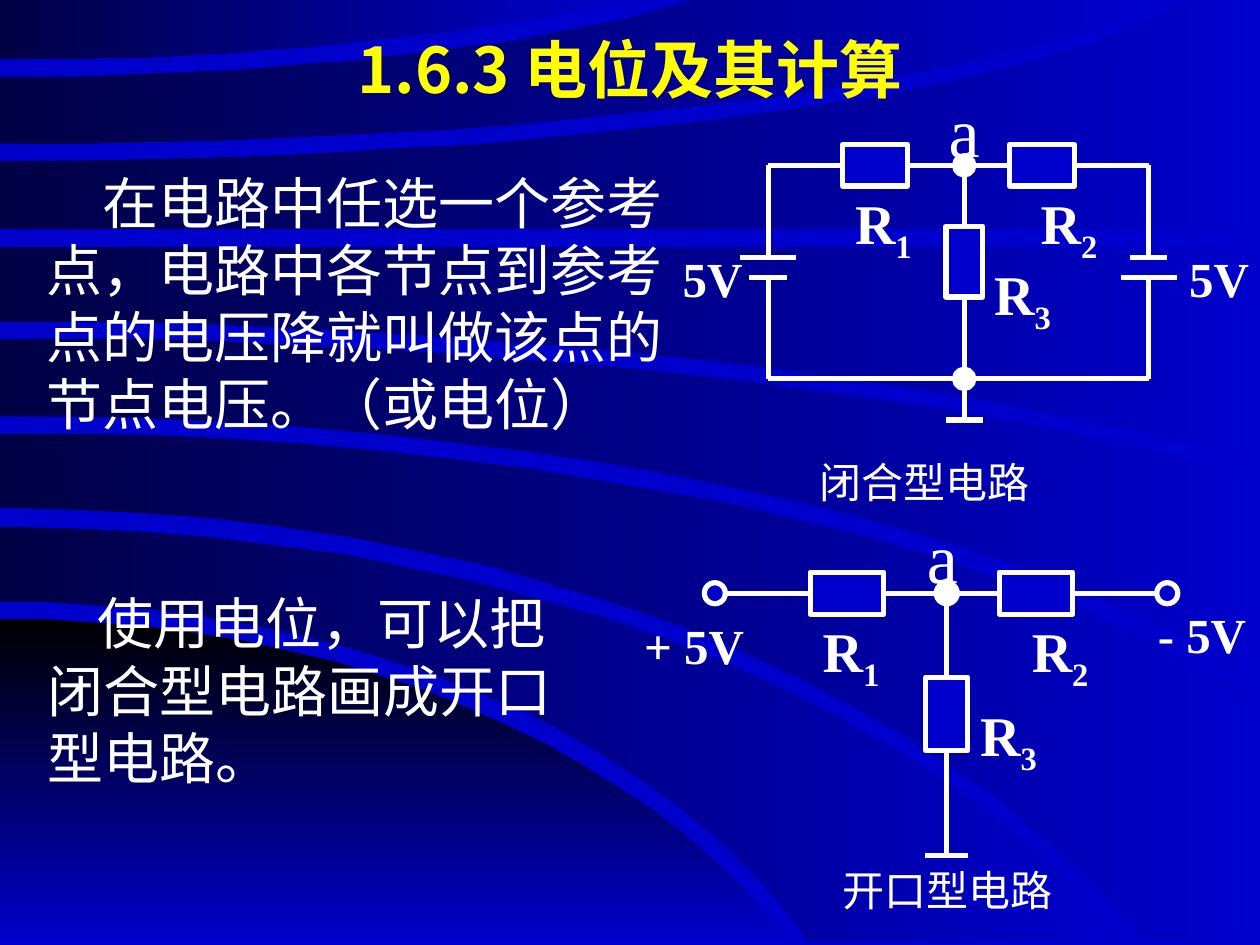
from dataclasses import dataclass
from math import cos, radians, sin

from lxml import etree
from pptx import Presentation
from pptx import util as u
from pptx.dml.color import RGBColor
from pptx.enum import shapes, text
from pptx.oxml.ns import qn

WHITE = RGBColor(0xFF, 0xFF, 0xFF)
YELLOW = RGBColor(0xFF, 0xFF, 0x00)
BLUE = RGBColor(0x00, 0x00, 0xCC)
NAVY = RGBColor(0x00, 0x00, 0x44)
BLACK = RGBColor(0x00, 0x00, 0x00)
SERIF, SANS = "Times New Roman", "Noto Sans CJK SC"
WIDTH, HEIGHT = 720, 540
STROKE = 3
ARC_STEPS = 20

Point = tuple[float, float]
Wire = tuple[Point, Point]


@dataclass
class Arc:
    """Part of an ellipse that leaves the left edge level and sweeps some degrees."""
    start_y: float
    end_x: float
    end_y: float
    sweep: float = 45

    def points(self) -> list[Point]:
        total = radians(self.sweep)
        angles = [total * step / ARC_STEPS for step in range(ARC_STEPS + 1)]
        rise = self.end_y - self.start_y
        return [(self.end_x * sin(angle) / sin(total),
                 self.start_y + rise * (1 - cos(angle)) / (1 - cos(total)))
                for angle in angles]


@dataclass
class Band:
    upper: Arc
    lower: Arc
    color: RGBColor = NAVY
    angle: float = 0

    def outline(self) -> list[Point]:
        shorter = min(self.upper, self.lower, key=lambda arc: arc.end_x)
        corner = (max(self.upper.end_x, self.lower.end_x), shorter.end_y)
        return [*self.upper.points(), corner, *reversed(self.lower.points())]


@dataclass
class Label:
    left: float
    top: float
    width: float
    height: float
    words: str
    size: float
    subscript: str = ""
    bold: bool = False
    color: RGBColor = WHITE
    font: str = SERIF
    indent: float = 0
    line_height: float | None = None
    centered: bool = False


@dataclass
class Resistor:
    x: float
    y: float
    width: float
    height: float


@dataclass
class Circuit:
    wires: list[Wire]
    resistors: list[Resistor]
    nodes: list[Point]
    terminals: list[Point]
    node_size: float
    labels: list[Label]


def horizontal(y: float, *ends: float) -> list[Wire]:
    """Wires at one height, each between two successive ends."""
    return [((a, y), (b, y)) for a, b in zip(ends[::2], ends[1::2])]


def vertical(x: float, *ends: float) -> list[Wire]:
    """Wires at one x position, each between two successive ends."""
    return [((x, a), (x, b)) for a, b in zip(ends[::2], ends[1::2])]


def plate(x: float, y: float, length: float) -> list[Wire]:
    return horizontal(y, x - length / 2, x + length / 2)


def resistor_labels(*places: Point) -> list[Label]:
    return [Label(x, y, 60, 45, "R", 32, str(number), True)
            for number, (x, y) in enumerate(places, 1)]


def voltage_label(words: str, left: float, top: float, width: float) -> Label:
    return Label(left, top, width, 41, words, 28, bold=True)


def node_label(left: float, top: float) -> Label:
    return Label(left, top, 60, 55, "a", 40)


def body(left: float, top: float, width: float, height: float, words: str,
         indent: float) -> Label:
    return Label(left, top, width, height, words, 32, indent=indent, line_height=38.4)


def caption(left: float, top: float, words: str) -> Label:
    return Label(left, top, 150, 36, words, 24, line_height=29)


def add_band(slide, band: Band) -> None:
    first, *rest = band.outline()
    builder = slide.shapes.build_freeform(*first, scale=u.Pt(1))
    builder.add_line_segments(rest, close=True)
    shape = builder.convert_to_shape()
    shape.shadow.inherit = False
    shape.line.fill.background()
    shape.fill.gradient()
    shape.fill.gradient_angle = band.angle
    for stop, color in zip(shape.fill.gradient_stops, (band.color, BLUE)):
        stop.color.rgb = color


def add_label(slide, label: Label) -> None:
    box = slide.shapes.add_textbox(
        u.Pt(label.left), u.Pt(label.top), u.Pt(label.width), u.Pt(label.height))
    frame = box.text_frame
    frame.word_wrap = True
    if not (label.line_height or label.centered):
        frame.margin_right = 0
    paragraph = frame.paragraphs[0]
    if label.centered:
        frame.vertical_anchor = text.MSO_ANCHOR.MIDDLE
        paragraph.alignment = text.PP_ALIGN.CENTER
    if label.indent:
        paragraph._p.get_or_add_pPr().set("indent", str(u.Pt(label.indent)))
    if label.line_height:
        paragraph.line_spacing = u.Pt(label.line_height)
    for words, baseline in ((label.words, "0"), (label.subscript, "-25000")):
        if not words:
            continue
        run = paragraph.add_run()
        run.text = words
        run.font.size = u.Pt(label.size)
        run.font.bold = label.bold
        run.font.color.rgb = label.color
        run.font.name = label.font
        properties = run._r.get_or_add_rPr()
        properties.set("baseline", baseline)
        etree.SubElement(properties, qn("a:ea")).set("typeface", SANS)


def add_wire(slide, wire: Wire) -> None:
    start, end = wire
    line = slide.shapes.add_connector(
        shapes.MSO_CONNECTOR.STRAIGHT, *(u.Pt(value) for value in (*start, *end)))
    line.line.color.rgb = WHITE
    line.line.width = u.Pt(STROKE)
    etree.SubElement(line._element.spPr, qn("a:effectLst"))


def add_part(slide, kind, x: float, y: float, width: float, height: float,
             fill: RGBColor) -> None:
    """Outlined shape centred on x, y."""
    part = slide.shapes.add_shape(
        kind, u.Pt(x - width / 2), u.Pt(y - height / 2), u.Pt(width), u.Pt(height))
    part.shadow.inherit = False
    part.fill.solid()
    part.fill.fore_color.rgb = fill
    part.line.color.rgb = WHITE
    part.line.width = u.Pt(STROKE)


def add_circuit(slide, circuit: Circuit) -> None:
    for wire in circuit.wires:
        add_wire(slide, wire)
    for r in circuit.resistors:
        add_part(slide, shapes.MSO_SHAPE.RECTANGLE, r.x, r.y, r.width, r.height, BLUE)
    size = circuit.node_size
    for centers, fill in ((circuit.nodes, WHITE), (circuit.terminals, BLUE)):
        for x, y in centers:
            add_part(slide, shapes.MSO_SHAPE.OVAL, x, y, size, size, fill)
    for label in circuit.labels:
        add_label(slide, label)


def closed_circuit() -> Circuit:
    left, middle, right, top, bottom = 439, 551, 656.5, 94.5, 216.5
    upper_plate, lower_plate = 147, 158.5
    wires = horizontal(top, left, 481.5, 518.5, 577, 614, right)
    wires += vertical(middle, top, 129.5, 170, 240) + plate(middle, 240, 21)
    for x, upper, lower in ((left, 32, 21.5), (right, 21, 32)):
        wires += vertical(x, top, upper_plate, lower_plate, bottom)
        wires += plate(x, upper_plate, upper) + plate(x, lower_plate, lower)
    wires += horizontal(bottom, left, right)
    resistors = [Resistor(x, top, 37, 23.5) for x in (500, 595.5)]
    resistors.append(Resistor(middle, 149.5, 21, 40.5))
    labels = [node_label(535, 46.5), voltage_label("5V", 383, 138.5, 60),
              voltage_label("5V", 672.5, 138.5, 47)]
    labels += resistor_labels((481.5, 104), (587.5, 104), (561, 145))
    return Circuit(wires, resistors, [(middle, top), (middle, bottom)], [], 11, labels)


def open_circuit() -> Circuit:
    left, middle, right, top, ground = 408.5, 541, 667, 339, 489
    wires = horizontal(top, left + 6, 463, 505, 571, 613, right - 6)
    wires += vertical(middle, top + 6, 387, 429, ground) + plate(middle, ground, 24.5)
    resistors = [Resistor(x, top, 42, 24) for x in (484, 592)]
    resistors.append(Resistor(middle, 408, 24, 42))
    labels = [node_label(522.5, 290), voltage_label("+ 5V", 361, 348, 90),
              voltage_label("- 5V", 654.5, 342, 65)]
    labels += resistor_labels((463, 349), (582.5, 349), (553, 397))
    return Circuit(wires, resistors, [(middle, top)], [(left, top), (right, top)], 12, labels)


BANDS = [
    Band(Arc(353.5, 452, HEIGHT, 63), Arc(HEIGHT, 452, HEIGHT), BLACK, 270),
    Band(Arc(301, 643, 538.5, 64), Arc(343.5, 462, 538.5, 67)),
    Band(Arc(247.5, WIDTH, 403, 63), Arc(290, 654, 538.5, 65)),
    Band(Arc(193.5, WIDTH, 273, 45), Arc(237.5, WIDTH, 390, 63)),
    Band(Arc(141, WIDTH, 141), Arc(183.5, WIDTH, 262, 44)),
    Band(Arc(92, 679, 0, 75), Arc(131, WIDTH, 131)),
    Band(Arc(44, 397, 0, 55), Arc(82, 657, 0, 73)),
    Band(Arc(0, 357, 0), Arc(34, 357, 0, 44)),
]
TEXTS = [
    Label(54, 0, 612, 78, "1.6.3 电位及其计算", 36, bold=True, color=YELLOW, font=SANS,
          centered=True),
    body(19.5, 92.5, 384, 166,
         "在电路中任选一个参考点，电路中各节点到参考点的电压降就叫做该点的节点电压。（或电位）", 32),
    body(20, 333, 328, 122, "使用电位，可以把闭合型电路画成开口型电路。", 28.5),
    caption(461.5, 257, "闭合型电路"),
    caption(474.5, 490.5, "开口型电路"),
]


def main() -> None:
    presentation = Presentation()
    presentation.slide_width, presentation.slide_height = u.Pt(WIDTH), u.Pt(HEIGHT)
    slide = presentation.slides.add_slide(presentation.slide_layouts[6])
    slide.background.fill.solid()
    slide.background.fill.fore_color.rgb = BLUE
    for band in BANDS:
        add_band(slide, band)
    for label in TEXTS:
        add_label(slide, label)
    for circuit in (closed_circuit(), open_circuit()):
        add_circuit(slide, circuit)
    presentation.save("out.pptx")


if __name__ == "__main__":
    main()
